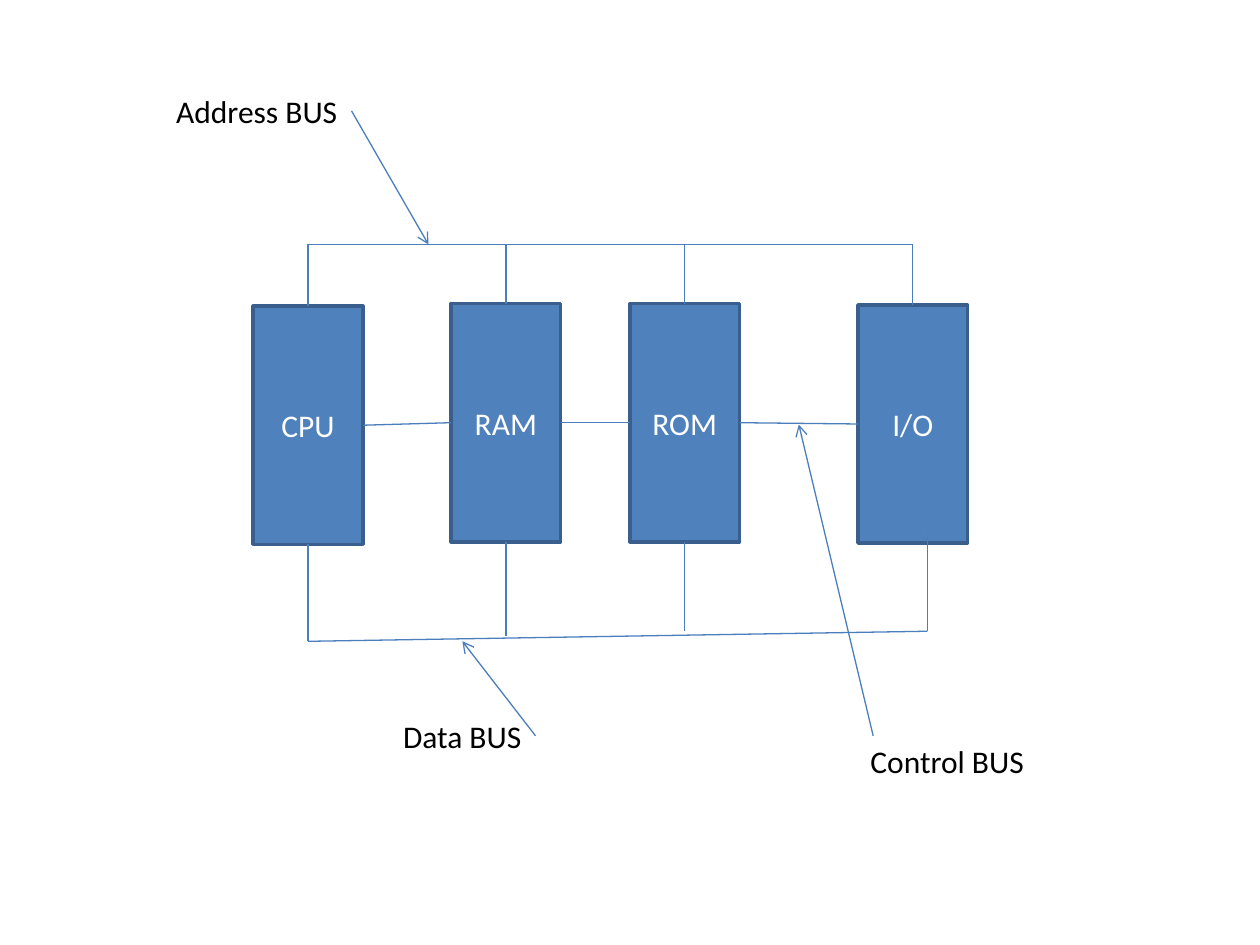
import pptx
import pptx.util
from dataclasses import dataclass
from lxml import etree
from pptx.dml.color import RGBColor
from pptx.enum.shapes import MSO_CONNECTOR, MSO_SHAPE
from pptx.enum.text import MSO_ANCHOR, MSO_AUTO_SIZE, PP_ALIGN
from pptx.oxml.ns import qn
from pptx.util import Inches


@dataclass(frozen=True)
class Theme:
    font: str = "Calibri"
    size: float = 18
    fill: str = "4F81BD"
    border: str = "3A5F8C"
    wire: str = "4B7EBC"
    light: str = "FFFFFF"
    dark: str = "000000"


theme = Theme()
TOP, LEFT, BOTTOM, RIGHT = range(4)

prs = pptx.Presentation()
prs.slide_width, prs.slide_height = Inches(10), Inches(7.5)
s = prs.slides.add_slide(prs.slide_layouts[6])


def add_run(p, text, color):
    r = p.add_run()
    r.text = text
    r.font.name = theme.font
    r.font.size = pptx.util.Pt(theme.size)
    r.font.color.rgb = RGBColor.from_string(color)


def add_wire(start, end, begin=None, finish=None, arrow=False):
    """Draw a line; begin and finish are optional (shape, side) joins."""
    c = s.shapes.add_connector(MSO_CONNECTOR.STRAIGHT, *map(Inches, start + end))
    c.line.color.rgb = RGBColor.from_string(theme.wire)
    c.line.width = pptx.util.Pt(0.75)
    if arrow:
        etree.SubElement(c.line._get_or_add_ln(), qn("a:tailEnd"), type="arrow")
    etree.SubElement(c._element.spPr, qn("a:effectLst"))
    if begin:
        c.begin_connect(*begin)
    if finish:
        c.end_connect(*finish)


# Components
BOX_W, BOX_H = 0.87, 1.89
components = [("CPU", 2.01, 2.43), ("RAM", 3.58, 2.41),
              ("ROM", 5, 2.41), ("I/O", 6.81, 2.42)]
boxes = []
for name, x, y in components:
    sp = s.shapes.add_shape(MSO_SHAPE.RECTANGLE, Inches(x), Inches(y),
                            Inches(BOX_W), Inches(BOX_H))
    sp.shadow.inherit = False
    sp.fill.solid()
    sp.fill.fore_color.rgb = RGBColor.from_string(theme.fill)
    sp.line.color.rgb = RGBColor.from_string(theme.border)
    sp.line.width = pptx.util.Pt(2)
    tf = sp.text_frame
    tf.vertical_anchor = MSO_ANCHOR.MIDDLE
    p = tf.paragraphs[0]
    p.alignment = PP_ALIGN.CENTER
    add_run(p, name, theme.light)
    boxes.append(sp)

# Address bus above, data bus below, each with a drop to every component
ADDRESS_Y = 1.94
centers = [x + BOX_W / 2 for _, x, _ in components]
add_wire((centers[0], ADDRESS_Y), (centers[-1], ADDRESS_Y))
for box, cx, (_, _, y) in zip(boxes, centers, components):
    add_wire((cx, ADDRESS_Y), (cx, y), finish=(box, TOP))

IO_DROP_X = 7.36
add_wire((centers[0], 5.09), (IO_DROP_X, 5.01))
add_wire((IO_DROP_X, 5.01), (IO_DROP_X, 4.23))
for box, cx, (_, _, y), bus_y in zip(boxes, centers, components, (5.09, 5.05, 5.01)):
    add_wire((cx, bus_y), (cx, y + BOX_H), finish=(box, BOTTOM))

# Control bus between neighbours
for i in range(len(boxes) - 1):
    (_, x1, y1), (_, x2, y2) = components[i:i + 2]
    add_wire((x1 + BOX_W, y1 + BOX_H / 2), (x2, y2 + BOX_H / 2),
             (boxes[i], RIGHT), (boxes[i + 1], LEFT))

# Bus labels with their pointers
for text, x, y, w, start, end, joined in [
    ("Address BUS", 1.3, 0.68, 1.49, (2.79, 0.88), (3.4, 1.94), True),
    ("Data BUS", 3.1, 5.64, 1.15, (4.25, 5.84), (3.67, 5.09), True),
    ("Control BUS", 6.81, 5.84, 1.43, (6.93, 5.84), (6.34, 3.37), False),
]:
    label = s.shapes.add_textbox(Inches(x), Inches(y), Inches(w), Inches(0.4))
    tf = label.text_frame
    tf.word_wrap = False
    tf.auto_size = MSO_AUTO_SIZE.SHAPE_TO_FIT_TEXT
    add_run(tf.paragraphs[0], text, theme.dark)
    add_wire(start, end, begin=(label, RIGHT) if joined else None, arrow=True)

prs.save("out.pptx")
